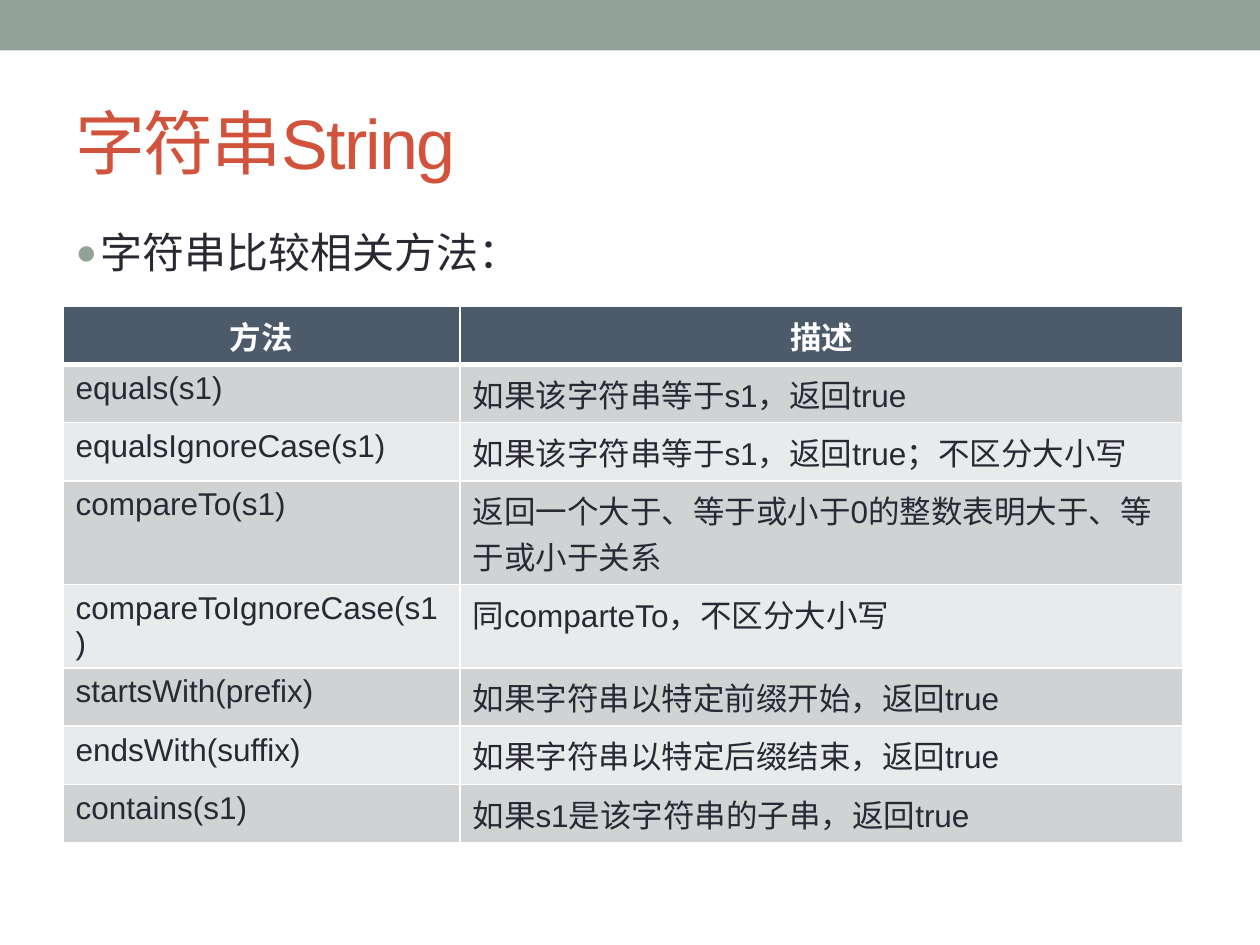
from dataclasses import dataclass
from typing import Any, NamedTuple

from lxml import etree
from pptx import Presentation
from pptx.dml.color import RGBColor
from pptx.enum.shapes import MSO_SHAPE
from pptx.enum.text import MSO_ANCHOR, PP_ALIGN
from pptx.oxml.ns import qn
from pptx.util import Inches, Pt

RECT = MSO_SHAPE.RECTANGLE
MIDDLE, TOP = MSO_ANCHOR.MIDDLE, MSO_ANCHOR.TOP
LEFT, CENTER = PP_ALIGN.LEFT, PP_ALIGN.CENTER


@dataclass(frozen=True)
class Theme:
    """Colours, font and type sizes of the slide."""
    font: str = "Arial"
    accent: str = "93A299"
    title: str = "D2533C"
    text: str = "292934"
    white: str = "FFFFFF"
    header: str = "4C5A6A"
    bands: tuple[str, str] = ("D0D2D4", "E9EAEB")
    title_size: int = 40
    body_size: int = 24
    table_size: int = 18


class Method(NamedTuple):
    """A table row: a method and its description."""
    name: str
    description: str


THEME = Theme()
HEADER = Method("方法", "描述")
METHODS = [
    Method("equals(s1)", "如果该字符串等于s1，返回true"),
    Method("equalsIgnoreCase(s1)", "如果该字符串等于s1，返回true；不区分大小写"),
    Method("compareTo(s1)", "返回一个大于、等于或小于0的整数表明大于、等于或小于关系"),
    Method("compareToIgnoreCase(s1)", "同comparteTo，不区分大小写"),
    Method("startsWith(prefix)", "如果字符串以特定前缀开始，返回true"),
    Method("endsWith(suffix)", "如果字符串以特定后缀结束，返回true"),
    Method("contains(s1)", "如果s1是该字符串的子串，返回true"),
]
COL_WIDTHS = (3.15, 5.74)
ROW_HEIGHT = 0.41


def set_attrs(obj: Any, values: dict[str, Any]) -> None:
    """Set every attribute in values on obj."""
    for name, value in values.items():
        setattr(obj, name, value)


def write(tf: Any, text: str, size: int, color: str, bold: bool = False,
          align: Any = LEFT) -> Any:
    """Write one formatted paragraph and return it."""
    p = tf.paragraphs[0]
    p.alignment = align
    r = p.add_run()
    r.text = text
    set_attrs(r.font, {"name": THEME.font, "size": Pt(size), "bold": bold})
    r.font.color.rgb = RGBColor.from_string(color)
    return p


def place(sp: Any, left: float, top: float, width: float, height: float) -> None:
    """Move and size a shape, in inches."""
    set_attrs(sp, {"left": Inches(left), "top": Inches(top),
                   "width": Inches(width), "height": Inches(height)})


def add_child(parent: Any, tag: str, **attrs: str) -> Any:
    """Append an XML element with attributes."""
    return etree.SubElement(parent, qn(tag), attrs)


def add_bullet(p: Any) -> None:
    """Give a paragraph a hanging round bullet."""
    pPr = p._p.get_or_add_pPr()
    pPr.set("marL", str(Inches(0.2)))
    pPr.set("indent", str(Inches(-0.2)))
    add_child(add_child(pPr, "a:buClr"), "a:srgbClr", val=THEME.accent)
    add_child(pPr, "a:buSzPct", val="85000")
    add_child(pPr, "a:buFont", typeface=THEME.font)
    add_child(pPr, "a:buChar", char="●")


def add_borders(cell: Any, row: int) -> None:
    """Draw white cell borders, thicker under the header."""
    tcPr = cell._tc.get_or_add_tcPr()
    widths = {"L": 1, "R": 1, "T": 3 if row == 1 else 1, "B": 3 if row == 0 else 1}
    for side, width in widths.items():
        ln = add_child(tcPr, f"a:ln{side}", w=str(Pt(width)))
        add_child(add_child(ln, "a:solidFill"), "a:srgbClr", val=THEME.white)


def add_methods_table(s: Any) -> None:
    """Add the table of comparison methods."""
    rows = [HEADER, *METHODS]
    table = s.shapes.add_table(
        len(rows), len(COL_WIDTHS), Inches(0.5), Inches(2.43),
        Inches(sum(COL_WIDTHS)), Inches(ROW_HEIGHT * len(rows))).table
    for column, width in zip(table.columns, COL_WIDTHS):
        column.width = Inches(width)
    for i, method in enumerate(rows):
        table.rows[i].height = Inches(ROW_HEIGHT)
        head = i == 0
        fill = THEME.header if head else THEME.bands[(i - 1) % 2]
        for cell, text in zip(table.rows[i].cells, method):
            add_borders(cell, i)
            cell.fill.solid()
            cell.fill.fore_color.rgb = RGBColor.from_string(fill)
            write(cell.text_frame, text, THEME.table_size,
                  THEME.white if head else THEME.text, head,
                  CENTER if head else LEFT)


def main() -> None:
    """Build the slide and save it."""
    prs = Presentation()
    set_attrs(prs, {"slide_width": Inches(10), "slide_height": Inches(7.5)})
    s = prs.slides.add_slide(prs.slide_layouts[1])

    band = s.shapes.add_shape(RECT, 0, 0, prs.slide_width, Inches(0.4))
    band.shadow.inherit = False
    band.fill.solid()
    band.fill.fore_color.rgb = RGBColor.from_string(THEME.accent)
    band.line.fill.background()

    title, body = s.shapes.title, s.placeholders[1]
    place(title, 0.5, 0.58, 9, 1.08)
    title.text_frame.vertical_anchor = MIDDLE
    p = write(title.text_frame, "字符串String", THEME.title_size, THEME.title)
    p.runs[0].font._element.set("spc", "-100")

    place(body, 0.5, 1.75, 9, 5.33)
    body.text_frame.vertical_anchor = TOP
    add_bullet(write(body.text_frame, "字符串比较相关方法：",
                     THEME.body_size, THEME.text))

    add_methods_table(s)
    prs.save("out.pptx")


main()
